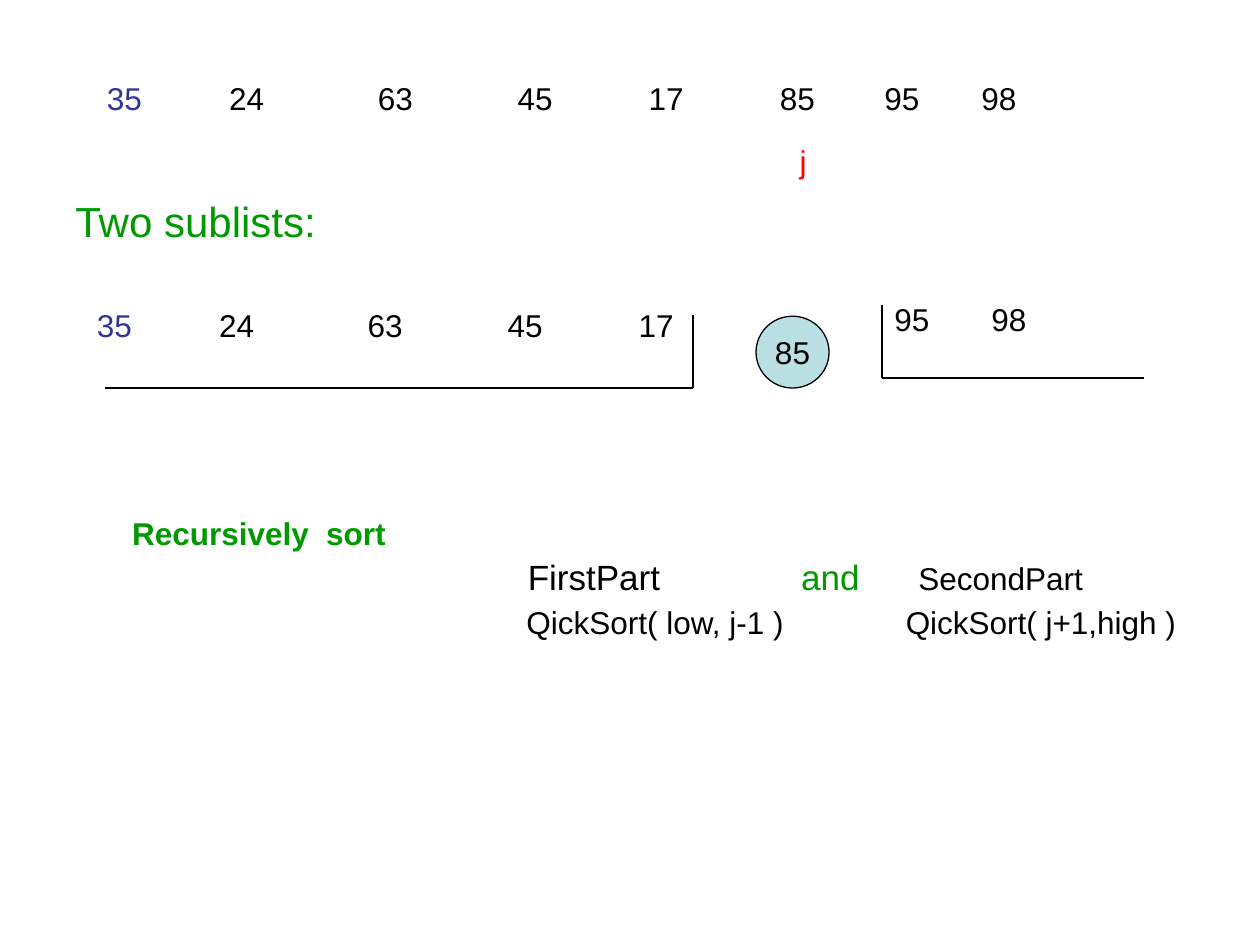
from dataclasses import dataclass
from typing import Optional

from lxml import etree
from pptx import Presentation
from pptx import util as u
from pptx.dml.color import RGBColor
from pptx.enum import shapes, text
from pptx.oxml.ns import qn


@dataclass(frozen=True)
class Theme:
    font: str = "Arial"
    black: str = "000000"
    white: str = "FFFFFF"
    pivot: str = "333399"
    green: str = "009900"
    red: str = "FF0000"
    circle: str = "BBE0E3"
    body: float = 18
    large: float = 20
    heading: float = 24
    line: float = 0.75


THEME = Theme()


@dataclass(frozen=True)
class Run:
    text: str
    color: str = THEME.black
    size: float = THEME.body
    bold: bool = False


@dataclass(frozen=True)
class Line:
    runs: tuple[Run, ...]
    tabs: tuple[float, ...] = ()
    before: float = 0


@dataclass(frozen=True)
class Box:
    left: float
    top: float
    width: float
    height: float

    def lengths(self) -> tuple[u.Length, ...]:
        return tuple(map(u.Inches, (self.left, self.top, self.width, self.height)))


@dataclass(frozen=True)
class Node:
    kind: shapes.MSO_SHAPE
    box: Box
    label: Run
    fill: str
    outline: str


def rgb(color: str) -> RGBColor:
    return RGBColor.from_string(color)


def write_line(paragraph, line: Line) -> None:
    if line.tabs:
        tab_list = etree.SubElement(paragraph._p.get_or_add_pPr(), qn("a:tabLst"))
        for position in line.tabs:
            etree.SubElement(tab_list, qn("a:tab"), pos=str(u.Inches(position)), algn="l")
    if line.before:
        paragraph.space_before = u.Pt(line.before)
    for part in line.runs:
        run = paragraph.add_run()
        run.text = part.text
        formats = {"name": THEME.font, "size": u.Pt(part.size), "bold": part.bold}
        for name, value in formats.items():
            setattr(run.font, name, value)
        run.font.color.rgb = rgb(part.color)


def add_text(slide, box: Box, *lines: Line) -> None:
    frame = slide.shapes.add_textbox(*box.lengths()).text_frame
    frame.word_wrap = True
    for index, line in enumerate(lines):
        write_line(frame.add_paragraph() if index else frame.paragraphs[0], line)


def add_numbers(slide, box: Box, numbers: list[int], tabs: tuple[float, ...],
                pivot: Optional[int] = None) -> None:
    runs = tuple(
        Run(f"\t{number}" if index else str(number),
            THEME.pivot if number == pivot else THEME.black)
        for index, number in enumerate(numbers)
    )
    add_text(slide, box, Line(runs, tabs))


def add_rule(slide, start: tuple[float, float], end: tuple[float, float]) -> None:
    connector = slide.shapes.add_connector(
        shapes.MSO_CONNECTOR.STRAIGHT, *map(u.Inches, start + end))
    connector.line.color.rgb = rgb(THEME.black)
    connector.line.width = u.Pt(THEME.line)
    etree.SubElement(connector._element.spPr, qn("a:effectLst"))


def add_bracket(slide, corner: tuple[float, float], far_x: float) -> None:
    x, y = corner
    add_rule(slide, (x, y - 0.58), corner)
    add_rule(slide, corner, (far_x, y))


def add_node(slide, node: Node) -> None:
    shape = slide.shapes.add_shape(node.kind, *node.box.lengths())
    shape.shadow.inherit = False
    shape.fill.solid()
    shape.fill.fore_color.rgb = rgb(node.fill)
    shape.line.color.rgb = rgb(node.outline)
    shape.line.width = u.Pt(THEME.line)
    frame = shape.text_frame
    frame.word_wrap = False
    frame.vertical_anchor = text.MSO_ANCHOR.MIDDLE
    frame.paragraphs[0].alignment = text.PP_ALIGN.CENTER
    write_line(frame.paragraphs[0], Line((node.label,)))


def main() -> None:
    presentation = Presentation()
    presentation.slide_width = u.Inches(10)
    presentation.slide_height = u.Inches(7.5)
    slide = presentation.slides.add_slide(presentation.slide_layouts[6])

    # Partitioned list
    numbers = [35, 24, 63, 45, 17, 85, 95, 98]
    tabs = (0.97, 2.15, 3.26, 4.3, 5.34, 6.17, 6.94)
    split = numbers.index(85)
    add_numbers(slide, Box(0.75, 0.58, 7.91, 0.7), numbers, tabs, pivot=35)

    # Sublists on either side of the placed element
    add_text(slide, Box(0.5, 1.5, 4.33, 0.5),
             Line((Run("Two sublists:", THEME.green, THEME.heading),)))
    add_numbers(slide, Box(0.67, 2.38, 5.33, 0.7), numbers[:split], tabs[:split - 1], pivot=35)
    add_numbers(slide, Box(7, 2.33, 2.25, 0.7), numbers[split + 1:], (tabs[-1] - tabs[-2],))
    add_bracket(slide, (5.5, 3.08), 0.83)
    add_bracket(slide, (7, 3), 9.08)

    # Recursive calls
    add_text(
        slide, Box(0.95, 4.03, 8.71, 2),
        Line((Run("Recursively\tsort", THEME.green, bold=True),), (1.54,)),
        Line((Run("\tFirstPart", size=THEME.large),
              Run("\tand", THEME.green, THEME.large),
              Run("\tSecondPart")), (3.14, 5.31, 6.24), before=2),
        Line((Run("\tQickSort( low, j-1 )"),
              Run("\tQickSort( j+1,high )")), (3.13, 6.14), before=3),
    )

    # Index marker and placed element
    for node in (
        Node(shapes.MSO_SHAPE.RECTANGLE, Box(5.96, 1.1, 0.83, 0.35),
             Run("j", THEME.red), THEME.white, THEME.white),
        Node(shapes.MSO_SHAPE.OVAL, Box(6, 2.51, 0.58, 0.57),
             Run("85"), THEME.circle, THEME.black),
    ):
        add_node(slide, node)

    presentation.save("out.pptx")


if __name__ == "__main__":
    main()
